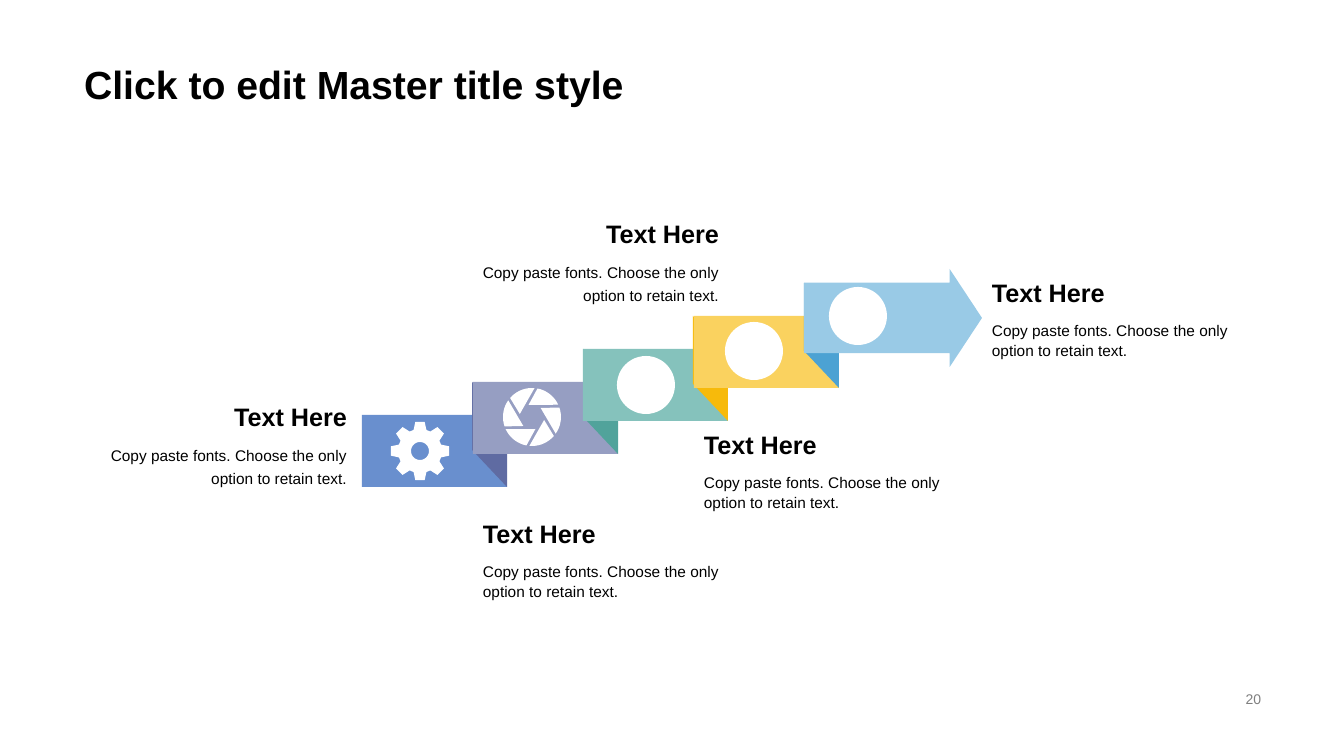
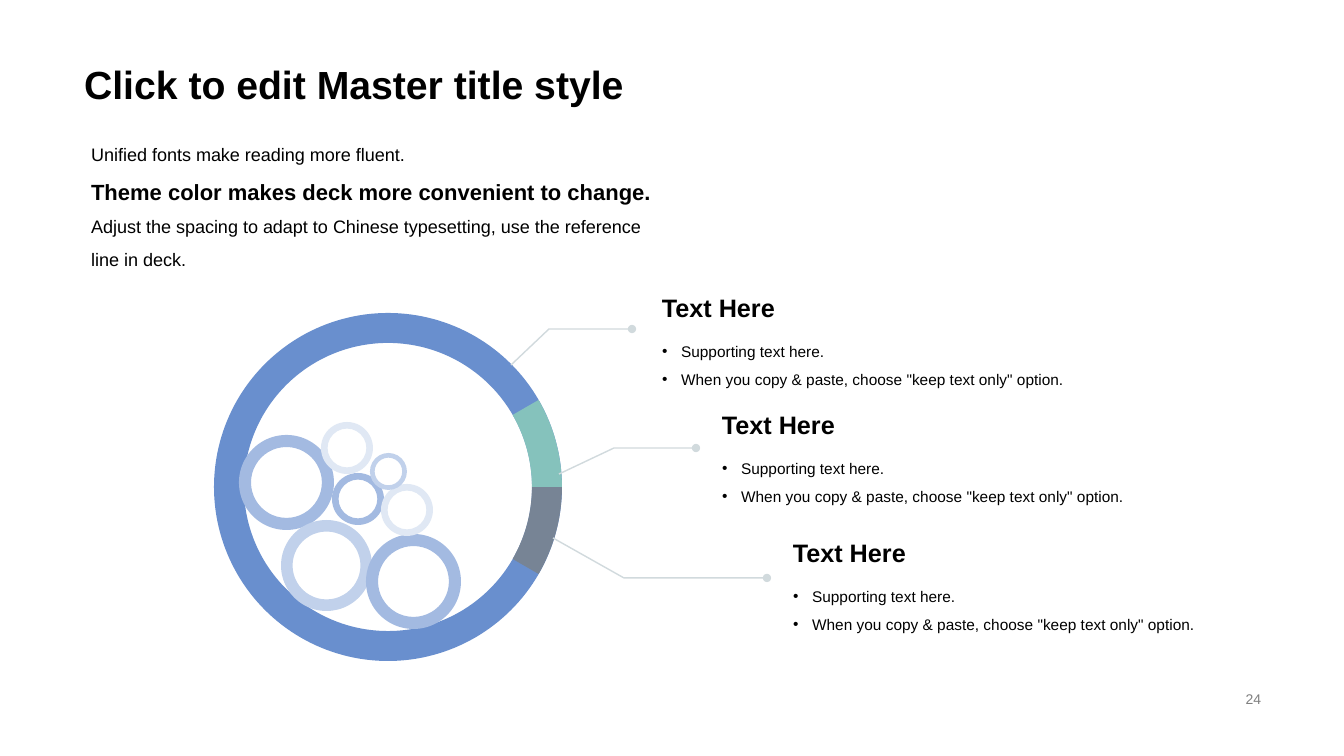
"""Builds a rising ribbon slide and a ring diagram slide."""
from dataclasses import dataclass
from math import cos, radians, sin

from lxml.etree import SubElement
from pptx import Presentation
from pptx.dml.color import RGBColor
from pptx.enum.shapes import MSO_SHAPE as Shape
from pptx.enum.text import MSO_ANCHOR as Anchor, MSO_AUTO_SIZE as AutoSize, PP_ALIGN as Align
from pptx.oxml.ns import qn
from pptx.util import Pt


@dataclass(frozen=True)
class Theme:
    font: str = "Arial"
    ink: str = "000000"
    muted: str = "7F7F7F"
    white: str = "FFFFFF"
    blue: str = "698FCE"
    violet: str = "969EC2"
    teal: str = "85C2BC"
    yellow: str = "FAD25F"
    sky: str = "99CAE6"
    slate: str = "778495"
    leader: str = "D1DADD"
    folds: tuple = ("5F6BA2", "51A39B", "F7BA0B", "4CA2D3")
    tints: tuple = ("A3BAE1", "C1D1EB", "E0E8F4")
    title: float = 28
    heading: float = 18
    body: float = 11
    intro: float = 12.9
    emphasis: float = 15.7
    number: float = 10


theme = Theme()
PIXEL = 914400 / 100.8
INDENT = 19


def write(frame, text, size=theme.body, bold=False, color=theme.ink, align=Align.LEFT,
          anchor=Anchor.TOP, spacing=1.0, bullet=False):
    frame.word_wrap = True
    frame.auto_size = AutoSize.NONE
    frame.vertical_anchor = anchor
    para = frame.add_paragraph() if frame.text else frame.paragraphs[0]
    para.alignment = align
    para.line_spacing = spacing
    para.space_before = Pt(0)
    indent = round(INDENT * PIXEL) if bullet else 0
    properties = para._p.get_or_add_pPr()
    properties.set("marL", str(indent))
    properties.set("indent", str(-indent))
    if bullet:
        SubElement(properties, qn("a:buFont"), typeface=theme.font)
        SubElement(properties, qn("a:buChar"), char="•")
    else:
        SubElement(properties, qn("a:buNone"))
    span = para.add_run()
    span.text = text
    span.font.name = theme.font
    span.font.size = Pt(size)
    span.font.bold = bold
    span.font.color.rgb = RGBColor.from_string(color)


def paint(shape, color, adjust=()):
    shape.shadow.inherit = False
    shape.fill.solid()
    shape.fill.fore_color.rgb = RGBColor.from_string(color)
    shape.line.fill.background()
    for index, value in enumerate(adjust):
        shape.adjustments[index] = value
    return shape


deck = Presentation()
deck.slide_width, deck.slide_height = round(1344 * PIXEL), round(756 * PIXEL)

pages = []
for layout, number in ((5, "20"), (4, "24")):
    page = deck.slides.add_slide(deck.slide_layouts[layout])
    title = page.shapes.title
    title.left, title.top, title.width, title.height = (round(v * PIXEL) for v in (74, 0, 1196, 113))
    write(title.text_frame, "Click to edit Master title style", size=theme.title, bold=True,
          anchor=Anchor.BOTTOM, spacing=0.9)
    box = page.shapes.add_textbox(*(round(v * PIXEL) for v in (950, 687, 321, 23)))
    write(box.text_frame, number, size=theme.number, color=theme.muted, align=Align.RIGHT,
          anchor=Anchor.MIDDLE)
    pages.append(page)
ribbon_page, ring_page = pages

captions = [
    (83, 398, Align.RIGHT, 1.2),
    (982, 274, Align.LEFT, 1.1),
    (694, 426, Align.LEFT, 1.1),
    (455, 215, Align.RIGHT, 1.2),
    (473, 515, Align.LEFT, 1.1),
]
for left, top, align, spacing in captions:
    heading = ribbon_page.shapes.add_textbox(*(round(v * PIXEL) for v in (left, top, 274, 39)))
    write(heading.text_frame, "Text Here", size=theme.heading, bold=True, align=align,
          anchor=Anchor.BOTTOM, spacing=0.9)
    height = 56 if align == Align.RIGHT else 53
    box = ribbon_page.shapes.add_textbox(*(round(v * PIXEL) for v in (left, top + 39, 274, height)))
    write(box.text_frame, "Copy paste fonts. Choose the only option to retain text.", align=align,
          anchor=Anchor.MIDDLE, spacing=spacing)

ribbon_parts = []
for step, color in enumerate((theme.blue, theme.violet, theme.teal, theme.yellow)):
    left, top = round(362 + 110.6 * step), 415 - 33 * step
    ribbon_parts += [
        (Shape.RECTANGLE, (left, top, 145, 72), color, (), 0),
        (Shape.PARALLELOGRAM, (left + 75, top + 2, 105, 35), theme.folds[step], (1.06,), 90),
    ]
ribbon_parts.append((Shape.RIGHT_ARROW, (804, 269, 178, 98), theme.sky, (0.72, 0.33), 0))
for left, top in ((617, 356), (725, 322), (829, 287)):
    ribbon_parts.append((Shape.OVAL, (left, top, 58, 58), theme.white, (), 0))
for kind, place, color, adjust, turn in ribbon_parts:
    part = ribbon_page.shapes.add_shape(kind, *(round(v * PIXEL) for v in place))
    paint(part, color, adjust).rotation = turn

rings = [
    (214, 313, 348, theme.blue, 0.086),
    (239, 435, 95, theme.tints[0], 0.127),
    (281, 520, 91, theme.tints[1], 0.127),
    (366, 534, 95, theme.tints[0], 0.127),
    (332, 473, 52, theme.tints[0], 0.127),
    (381, 484, 52, theme.tints[2], 0.127),
    (370, 453, 37, theme.tints[1], 0.127),
    (321, 422, 52, theme.tints[2], 0.127),
]
for left, top, size, color, hole in rings:
    ring = ring_page.shapes.add_shape(Shape.DONUT, *(round(v * PIXEL) for v in (left, top, size, size)))
    paint(ring, color, (hole,))

bodies = {body.placeholder_format.idx: body for body in ring_page.placeholders}
intro = bodies[1]
intro.left, intro.top, intro.width, intro.height = (round(v * PIXEL) for v in (81, 128, 586, 162))
for text, size, bold in (
    ("Unified fonts make reading more fluent.", theme.intro, False),
    ("Theme color makes deck more convenient to change.", theme.emphasis, True),
    ("Adjust the spacing to adapt to Chinese typesetting, use the reference line in deck.",
     theme.intro, False),
):
    write(intro.text_frame, text, size=size, bold=bold, spacing=1.5)

for index, left, top in ((2, 652, 288), (3, 712, 405), (4, 783, 533)):
    heading = ring_page.shapes.add_textbox(*(round(v * PIXEL) for v in (left, top, 431, 40)))
    write(heading.text_frame, "Text Here", size=theme.heading, bold=True, anchor=Anchor.BOTTOM,
          spacing=0.9)
    body = bodies[index]
    body.left, body.top, body.width, body.height = (round(v * PIXEL) for v in (left, top + 40, 431, 68))
    for text in ("Supporting text here.", 'When you copy & paste, choose "keep text only" option.'):
        write(body.text_frame, text, spacing=1.5, bullet=True)

gear_teeth = [(radius, 45 * tooth + angle) for tooth in range(8)
              for radius, angle in ((22, -17), (29.6, -9), (29.6, 9), (22, 17))]
gear_hole = [(9, angle) for angle in range(360, 0, -10)]
blades = [[(12.5, start - 27)] + [(29, start + angle) for angle in range(0, 55, 6)]
          for start in range(-139, 221, 60)]
polar_outlines = [
    (ribbon_page, (420, 451), [gear_teeth, gear_hole], theme.white),
    (ribbon_page, (532, 417), blades, theme.white),
]
for start, color in ((0, theme.slate), (-30, theme.teal)):
    sweep = range(start, start + 31, 2)
    wedge = [(174, angle) for angle in sweep] + [(144, angle) for angle in reversed(sweep)]
    polar_outlines.append((ring_page, (388, 487), [wedge], color))

for page, (center_x, center_y), contours, color in polar_outlines:
    builder = None
    for contour in contours:
        points = [((center_x + radius * cos(radians(angle))) * PIXEL,
                   (center_y + radius * sin(radians(angle))) * PIXEL) for radius, angle in contour]
        if builder is None:
            builder = page.shapes.build_freeform(*points[0])
        else:
            builder.move_to(*points[0])
        builder.add_line_segments(points[1:], close=True)
    paint(builder.convert_to_shape(), color)

leaders = [
    ((553, 538), (624, 578), (767, 578)),
    ((511, 365), (549, 329), (632, 329)),
    ((559, 474), (614, 448), (696, 448)),
]
for leader in leaders:
    points = [(x * PIXEL, y * PIXEL) for x, y in leader]
    builder = ring_page.shapes.build_freeform(*points[0])
    builder.add_line_segments(points[1:], close=False)
    line = builder.convert_to_shape()
    line.shadow.inherit = False
    line.fill.background()
    line.line.color.rgb = RGBColor.from_string(theme.leader)
    line.line.width = Pt(1)
    SubElement(line.line._get_or_add_ln(), qn("a:tailEnd"), type="oval")

deck.save("out.pptx")
